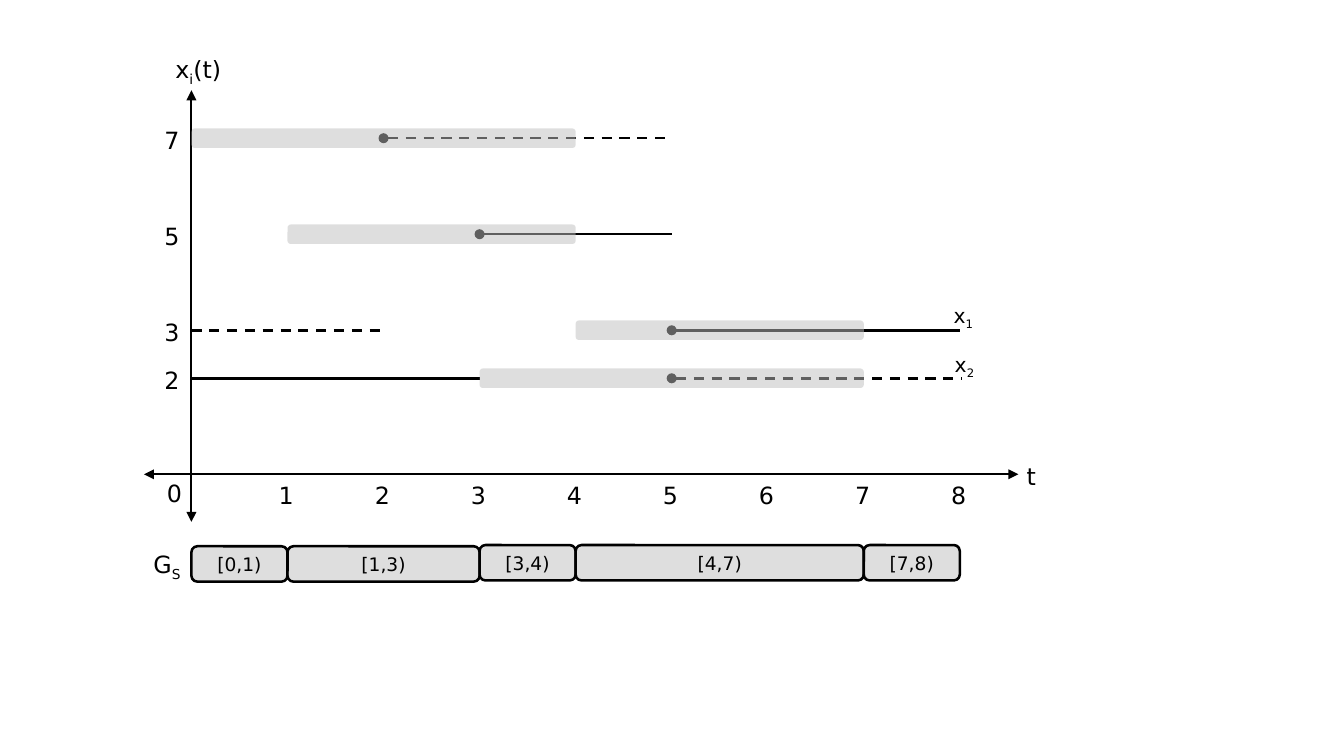
from typing import NamedTuple

from lxml.etree import SubElement
from pptx import Presentation
from pptx.dml.color import RGBColor
from pptx.enum.dml import MSO_LINE
from pptx.enum.shapes import MSO_CONNECTOR, MSO_SHAPE
from pptx.enum.text import MSO_ANCHOR, PP_ALIGN
from pptx.oxml.ns import qn
from pptx.shapes.autoshape import Shape
from pptx.shapes.shapetree import SlideShapes
from pptx.util import Inches, Pt

BLACK = RGBColor(0x00, 0x00, 0x00)
GREY = RGBColor(0xBF, 0xBF, 0xBF)
FONT = "DejaVu Sans"
ORIGIN_X, ORIGIN_Y = 1.57, 3.89
TIME_STEP = 6.3 / 8
VALUE_STEP = TIME_STEP / 2


class Segment(NamedTuple):
    value: int
    start: int
    end: float
    dashed: bool = False
    dotted: bool = False


class Band(NamedTuple):
    value: int
    start: int
    end: int


class Interval(NamedTuple):
    start: int
    end: int
    top: float


class Label(NamedTuple):
    left: float
    top: float
    width: float
    text: str
    subscript: str = ""
    ending: str = ""
    size: int = 14


SEGMENTS = [
    Segment(2, 0, 3),
    Segment(5, 3, 5, dotted=True),
    Segment(3, 5, 8, dotted=True),
    Segment(3, 0, 2, dashed=True),
    Segment(7, 2, 5, dashed=True, dotted=True),
    Segment(2, 5, 8.02, dashed=True, dotted=True),
]
BANDS = [Band(7, 0, 4), Band(2, 3, 7), Band(5, 1, 4), Band(3, 4, 7)]
INTERVALS = [
    Interval(0, 1, 4.48),
    Interval(1, 3, 4.48),
    Interval(3, 4, 4.47),
    Interval(4, 7, 4.47),
    Interval(7, 8, 4.47),
]


def time_x(time: float) -> float:
    """Return the horizontal place of a time in inches."""
    return ORIGIN_X + time * TIME_STEP


def value_y(value: float) -> float:
    """Return the vertical place of a value in inches."""
    return ORIGIN_Y - value * VALUE_STEP


LABELS = [
    *(Label(1.25, value_y(value) - 0.15, 0.34, str(value)) for value in (7, 5, 3, 2)),
    *(Label(time_x(time) - 0.17, ORIGIN_Y, 0.34, str(time)) for time in range(1, 9)),
    Label(8.32, 3.74, 0.24, "t"),
    Label(1.34, 0.4, 0.63, "x", "i", "(t)"),
    Label(7.72, 2.44, 0.42, "x", "1", size=12),
    Label(7.73, 2.84, 0.39, "x", "2", size=12),
    Label(1.27, 3.88, 0.34, "0"),
    Label(1.16, 4.46, 0.52, "G", "S"),
]


def draw_line(shapes: SlideShapes, start: tuple[float, float], end: tuple[float, float],
              weight: float, dashed: bool = False, head: str = "", tail: str = "") -> None:
    """Draw a black line between two points, with optional ends."""
    connector = shapes.add_connector(
        MSO_CONNECTOR.STRAIGHT, *(Inches(length) for length in (*start, *end)))
    connector.line.color.rgb = BLACK
    connector.line.width = Pt(weight)
    if dashed:
        connector.line.dash_style = MSO_LINE.DASH
    properties = connector._element.spPr
    outline = properties.find(qn("a:ln"))
    for tag, kind in (("a:headEnd", head), ("a:tailEnd", tail)):
        if kind:
            SubElement(outline, qn(tag), type=kind)
    SubElement(properties, qn("a:effectLst"))


def draw_segment(shapes: SlideShapes, segment: Segment) -> None:
    """Draw one constant stretch of a signal."""
    y = value_y(segment.value)
    draw_line(shapes, (time_x(segment.start), y), (time_x(segment.end), y), 1.5,
              segment.dashed, "oval" if segment.dotted else "")


def draw_bar(shapes: SlideShapes, start: int, end: int, top: float, height: float) -> Shape:
    """Draw a half-transparent rounded bar over a time span."""
    bar = shapes.add_shape(
        MSO_SHAPE.ROUNDED_RECTANGLE, Inches(time_x(start)), Inches(top),
        Inches((end - start) * TIME_STEP), Inches(height))
    bar.shadow.inherit = False
    bar.fill.solid()
    bar.fill.fore_color.rgb = GREY
    color = bar._element.spPr.find(qn("a:solidFill"))[0]
    SubElement(color, qn("a:alpha"), val="50000")
    bar.line.fill.background()
    return bar


def draw_interval(shapes: SlideShapes, interval: Interval) -> None:
    """Draw one outlined interval with its bounds."""
    bar = draw_bar(shapes, interval.start, interval.end, interval.top, 0.29)
    bar.line.color.rgb = BLACK
    bar.line.width = Pt(1.5)
    bar.text_frame.vertical_anchor = MSO_ANCHOR.MIDDLE
    bounds = bar.text_frame.paragraphs[0]
    bounds.text = f"[{interval.start},{interval.end})"
    bounds.alignment = PP_ALIGN.CENTER
    bounds.font.name = FONT
    bounds.font.size = Pt(11)
    bounds.font.color.rgb = BLACK


def draw_label(shapes: SlideShapes, label: Label) -> None:
    """Write a label with an optional subscript."""
    box = shapes.add_textbox(
        Inches(label.left), Inches(label.top), Inches(label.width), Inches(0.3))
    box.text_frame.word_wrap = False
    wording = box.text_frame.paragraphs[0]
    wording.font.name = FONT
    wording.font.size = Pt(label.size)
    wording.font.color.rgb = BLACK
    for part, baseline in ((label.text, 0), (label.subscript, -25000), (label.ending, 0)):
        if part:
            run = wording.add_run()
            run.text = part
            if baseline:
                run._r.get_or_add_rPr().set("baseline", str(baseline))


def main() -> None:
    """Build the timing diagram and save it."""
    deck = Presentation()
    deck.slide_width, deck.slide_height = Inches(11.02), Inches(6.2)
    shapes = deck.slides.add_slide(deck.slide_layouts[6]).shapes
    for segment in SEGMENTS:
        draw_segment(shapes, segment)
    for start, end in (((ORIGIN_X, 0.74), (ORIGIN_X, 4.28)),
                       ((8.35, ORIGIN_Y), (1.18, ORIGIN_Y))):
        draw_line(shapes, start, end, 1.25, head="triangle", tail="triangle")
    for label in LABELS:
        draw_label(shapes, label)
    for band in BANDS:
        draw_bar(shapes, band.start, band.end, value_y(band.value) - 0.08, 0.16)
    for interval in INTERVALS:
        draw_interval(shapes, interval)
    deck.save("out.pptx")


main()
